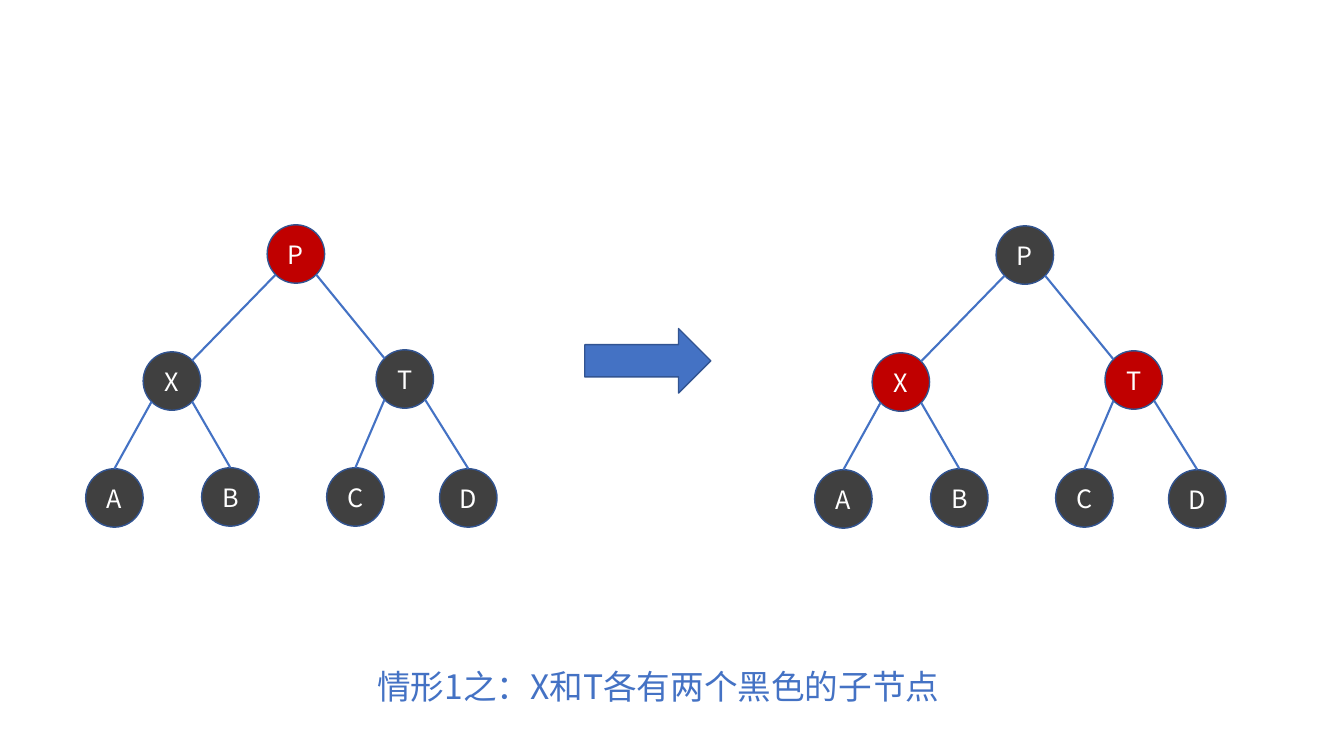
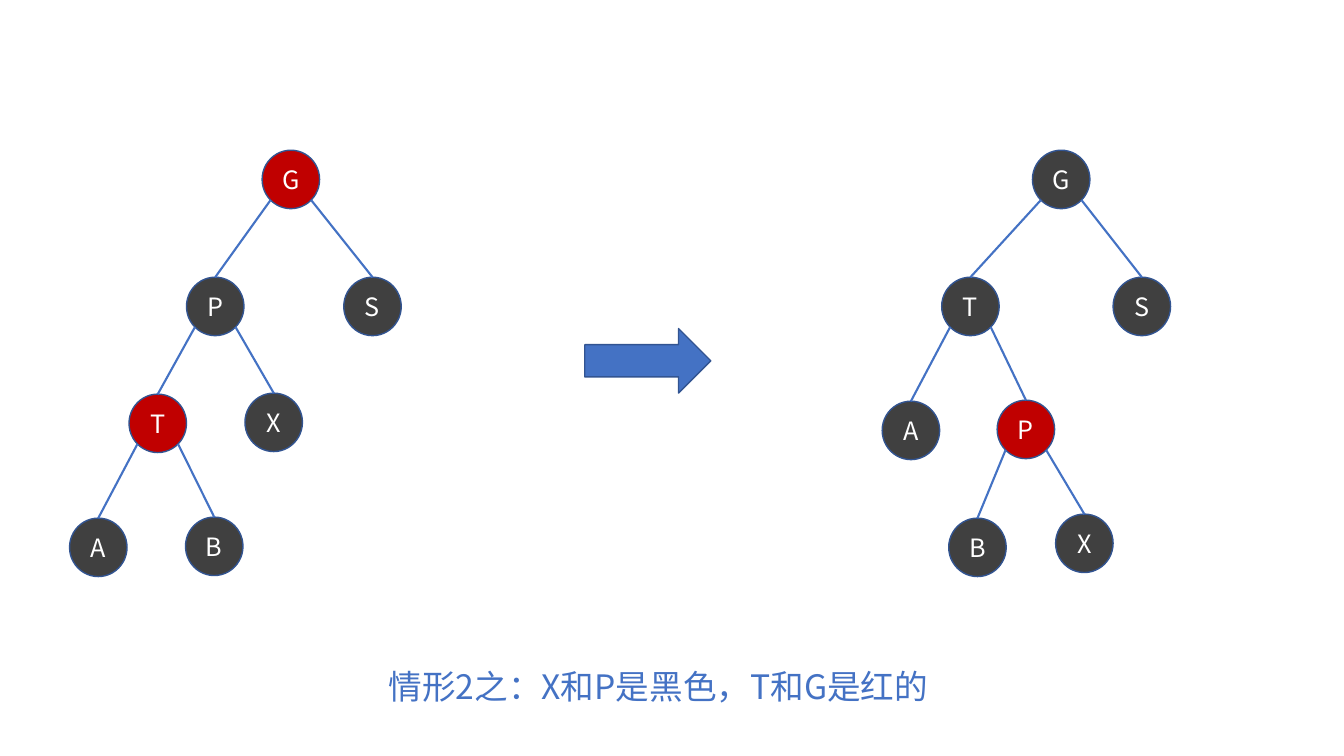
from dataclasses import dataclass, replace
from math import sqrt

from lxml import etree
from pptx import Presentation
from pptx import util as u
from pptx.dml.color import RGBColor
from pptx.enum import shapes, text
from pptx.oxml import ns

PX = 9144  # EMU; 100 px to the inch
FONT = "Noto Sans CJK SC"
BLUE, OUTLINE, RED, BLACK, WHITE = "4472C4", "325491", "C00000", "404040", "FFFFFF"
NODE_W, NODE_H = 57, 58
CENTRE = 0.5
DIAGONAL = sqrt(2) / 4
# Connection sites of an ellipse: index -> share of its width and height
TOP, TOP_LEFT, BOTTOM_LEFT, BOTTOM_RIGHT, TOP_RIGHT = 0, 1, 3, 5, 7
SITES = {
    TOP: (CENTRE, 0),
    TOP_LEFT: (CENTRE - DIAGONAL, CENTRE - DIAGONAL),
    BOTTOM_LEFT: (CENTRE - DIAGONAL, CENTRE + DIAGONAL),
    BOTTOM_RIGHT: (CENTRE + DIAGONAL, CENTRE + DIAGONAL),
    TOP_RIGHT: (CENTRE + DIAGONAL, CENTRE - DIAGONAL),
}


@dataclass(frozen=True)
class Node:
    label: str
    left: int
    top: int
    parent: str = ""
    joint: int = TOP


@dataclass(frozen=True)
class Tree:
    nodes: tuple[Node, ...]
    reds: str = ""

    def moved(self, dx: int, dy: int, reds: str) -> "Tree":
        nodes = (replace(n, left=n.left + dx, top=n.top + dy) for n in self.nodes)
        return Tree(tuple(nodes), reds)


@dataclass(frozen=True)
class Case:
    caption: str
    before: Tree
    after: Tree


TWO_BLACK_CHILDREN = Tree((
    Node("P", 265, 223),
    Node("X", 142, 349, "P", TOP_RIGHT),
    Node("T", 373, 347, "P", TOP_LEFT),
    Node("A", 85, 465, "X"),
    Node("B", 200, 464, "X"),
    Node("C", 324, 464, "T"),
    Node("D", 436, 465, "T"),
), reds="P")

BEFORE_ROTATION = Tree((
    Node("G", 260, 149),
    Node("P", 185, 275, "G"),
    Node("S", 341, 275, "G"),
    Node("T", 128, 391, "P"),
    Node("X", 243, 390, "P"),
    Node("A", 69, 514, "T"),
    Node("B", 184, 513, "T"),
), reds="GT")

AFTER_ROTATION = Tree((
    Node("G", 1024, 149),
    Node("T", 934, 275, "G"),
    Node("S", 1104, 275, "G"),
    Node("A", 875, 398, "T"),
    Node("P", 989, 397, "T"),
    Node("B", 941, 514, "P"),
    Node("X", 1047, 510, "P"),
), reds="P")

CASES = (
    Case("情形1之：X和T各有两个黑色的子节点",
         TWO_BLACK_CHILDREN, TWO_BLACK_CHILDREN.moved(723, 1, reds="XT")),
    Case("情形2之：X和P是黑色，T和G是红的", BEFORE_ROTATION, AFTER_ROTATION),
)


def px(*lengths: int) -> list[u.Emu]:
    return [u.Emu(length * PX) for length in lengths]


def rgb(colour: str) -> RGBColor:
    return RGBColor.from_string(colour)


def write(frame, words: str, size: int, colour: str) -> None:
    """Set one centred paragraph, with the font for Latin and Chinese alike."""
    frame.text = words
    paragraph = frame.paragraphs[0]
    paragraph.alignment = text.PP_ALIGN.CENTER
    font = paragraph.runs[0].font
    font.size = u.Pt(size)
    font.name = FONT
    font.color.rgb = rgb(colour)
    properties = paragraph.runs[0]._r.get_or_add_rPr()
    etree.SubElement(properties, ns.qn("a:ea"), typeface=FONT)


def add_filled(slide, kind, box: tuple[int, int, int, int], fill: str):
    shape = slide.shapes.add_shape(kind, *px(*box))
    shape.shadow.inherit = False
    shape.fill.solid()
    shape.fill.fore_color.rgb = rgb(fill)
    shape.line.color.rgb = rgb(OUTLINE)
    shape.line.width = u.Pt(1)
    return shape


def add_node(slide, node: Node, fill: str):
    circle = add_filled(slide, shapes.MSO_SHAPE.OVAL,
                        (node.left, node.top, NODE_W, NODE_H), fill)
    frame = circle.text_frame
    frame.margin_left = frame.margin_right = frame.margin_top = frame.margin_bottom = 0
    frame.vertical_anchor = text.MSO_ANCHOR.MIDDLE
    frame.word_wrap = False
    write(frame, node.label, 18, WHITE)
    return circle


def site_point(circle, site: int) -> tuple[u.Emu, u.Emu]:
    across, down = SITES[site]
    return (u.Emu(round(circle.left + across * circle.width)),
            u.Emu(round(circle.top + down * circle.height)))


def add_edge(slide, parent, child, joint: int) -> None:
    """Join two circles and glue the line to both."""
    start = BOTTOM_LEFT if child.left < parent.left else BOTTOM_RIGHT
    edge = slide.shapes.add_connector(
        shapes.MSO_CONNECTOR.STRAIGHT,
        *site_point(parent, start), *site_point(child, joint))
    edge.line.color.rgb = rgb(BLUE)
    edge.line.width = u.Pt(1.5)
    etree.SubElement(edge.element.spPr, ns.qn("a:effectLst"))
    glue = edge.element.nvCxnSpPr.cNvCxnSpPr
    for tag, circle, site in (("a:stCxn", parent, start), ("a:endCxn", child, joint)):
        etree.SubElement(glue, ns.qn(tag), id=str(circle.shape_id), idx=str(site))


def add_tree(slide, tree: Tree) -> None:
    circles = {
        node.label: add_node(slide, node, RED if node.label in tree.reds else BLACK)
        for node in tree.nodes
    }
    for node in tree.nodes:
        if node.parent:
            add_edge(slide, circles[node.parent], circles[node.label], node.joint)


def add_caption(slide, words: str) -> None:
    caption = slide.shapes.add_textbox(*px(38, 656, 1230, 50))
    caption.text_frame.word_wrap = True
    caption.text_frame.auto_size = text.MSO_AUTO_SIZE.SHAPE_TO_FIT_TEXT
    write(caption.text_frame, words, 24, BLUE)


def add_case(deck, case: Case) -> None:
    slide = deck.slides.add_slide(deck.slide_layouts[6])
    add_filled(slide, shapes.MSO_SHAPE.RIGHT_ARROW, (580, 326, 125, 64), BLUE)
    add_caption(slide, case.caption)
    add_tree(slide, case.before)
    add_tree(slide, case.after)


def main() -> None:
    deck = Presentation()
    deck.slide_width, deck.slide_height = px(1333, 750)
    for case in CASES:
        add_case(deck, case)
    deck.save("out.pptx")


if __name__ == "__main__":
    main()
